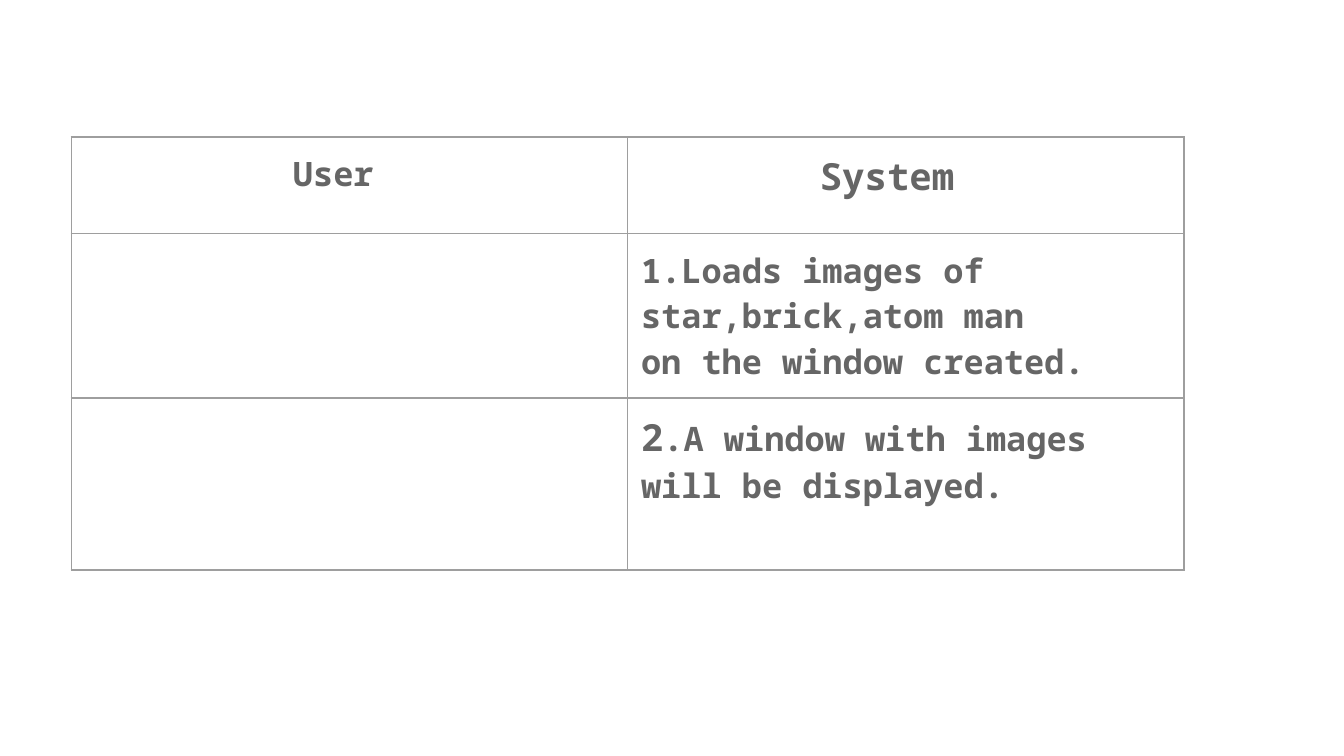
from lxml import etree
from pptx import Presentation
from pptx.dml.color import RGBColor
from pptx.oxml.ns import qn
from pptx.util import Inches, Pt

COLORS = {"text": "666666", "border": "9E9E9E"}
FONT = {"name": "Noto Sans Mono", "bold": True}
SLIDE_WIDTH = 10
SLIDE_HEIGHT = SLIDE_WIDTH * 9 / 16
LEFT, TOP = 0.53, 1.02
COL_WIDTH = 4.14
ROW_HEIGHTS = [0.72, 1.22, 1.28]
MARGIN = 0.1
HEADER_INDENTS = [1.55, 1.33]
BORDER_WIDTH = 0.75

ROWS = [
    [[[("User", 18)]], [[("System", 20)]]],
    [[], [[("1.Loads images of star,brick,atom man", 18)],
          [("on the window created.", 18)]]],
    [[], [[("2", 20), (".A window with images will be displayed.", 18)]]],
]


def add_borders(cell):
    tc_pr = cell._tc.get_or_add_tcPr()
    for i, side in enumerate(("lnL", "lnR", "lnT", "lnB")):
        line = etree.Element(qn(f"a:{side}"), w=str(Pt(BORDER_WIDTH)))
        fill = etree.SubElement(line, qn("a:solidFill"))
        etree.SubElement(fill, qn("a:srgbClr"), val=COLORS["border"])
        tc_pr.insert(i, line)


def write_cell(cell, paragraphs, indent):
    margins = {"left": MARGIN + indent, "right": MARGIN, "top": MARGIN, "bottom": MARGIN}
    for side, value in margins.items():
        setattr(cell, f"margin_{side}", Inches(value))
    cell.fill.background()
    add_borders(cell)
    tf = cell.text_frame
    for i, runs in enumerate(paragraphs):
        p = tf.add_paragraph() if i else tf.paragraphs[0]
        for text, size in runs:
            r = p.add_run()
            r.text = text
            for key, value in {**FONT, "size": Pt(size)}.items():
                setattr(r.font, key, value)
            r.font.color.rgb = RGBColor.from_string(COLORS["text"])


def main():
    prs = Presentation()
    prs.slide_width, prs.slide_height = Inches(SLIDE_WIDTH), Inches(SLIDE_HEIGHT)
    s = prs.slides.add_slide(prs.slide_layouts[6])
    n_rows, n_cols = len(ROWS), len(ROWS[0])
    table = s.shapes.add_table(
        n_rows, n_cols, Inches(LEFT), Inches(TOP),
        Inches(COL_WIDTH * n_cols), Inches(sum(ROW_HEIGHTS)),
    ).table
    table.first_row = table.horz_banding = False
    for column in table.columns:
        column.width = Inches(COL_WIDTH)
    for i, (row, height) in enumerate(zip(ROWS, ROW_HEIGHTS)):
        table.rows[i].height = Inches(height)
        for j, paragraphs in enumerate(row):
            write_cell(table.cell(i, j), paragraphs, 0 if i else HEADER_INDENTS[j])
    prs.save("out.pptx")


if __name__ == "__main__":
    main()
